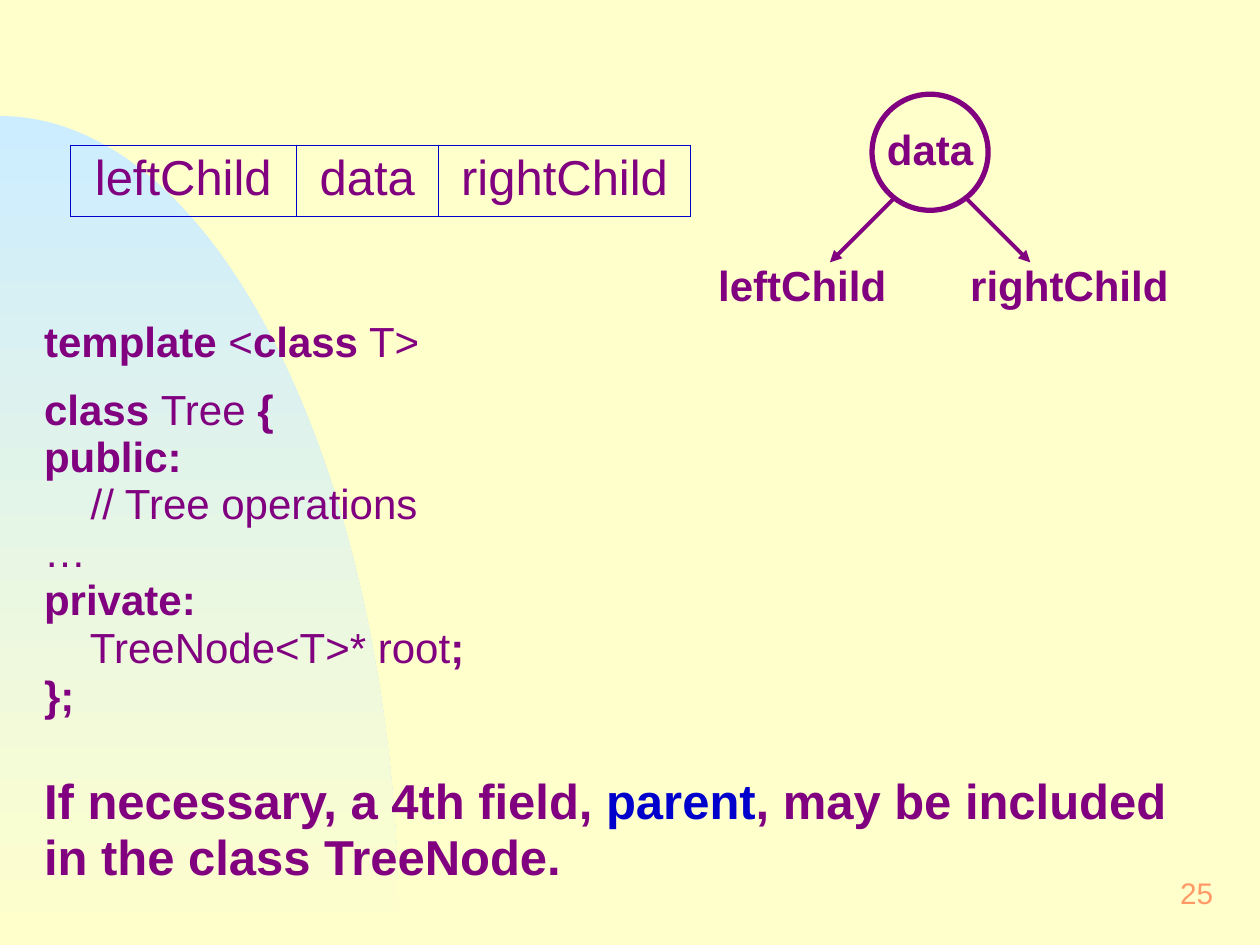
from lxml import etree
from pptx import Presentation
from pptx.dml.color import RGBColor
from pptx.enum.shapes import MSO_CONNECTOR, MSO_SHAPE
from pptx.enum.text import MSO_ANCHOR, PP_ALIGN
from pptx.oxml.ns import qn
from pptx.util import Cm, Pt

ELLIPSE, STRAIGHT = MSO_SHAPE.OVAL, MSO_CONNECTOR.STRAIGHT
LEFT, CENTER, RIGHT = PP_ALIGN.LEFT, PP_ALIGN.CENTER, PP_ALIGN.RIGHT
TOP, MIDDLE = MSO_ANCHOR.TOP, MSO_ANCHOR.MIDDLE

CREAM = RGBColor(0xFF, 0xFF, 0xCC)
SKY = RGBColor(0xCC, 0xEC, 0xFF)
PURPLE = RGBColor(0x80, 0x00, 0x80)
BLUE = RGBColor(0x00, 0x00, 0xCC)
ORANGE = RGBColor(0xFF, 0x99, 0x66)
FONT = "Arial"

# Content; runs are (text, bold)
NODE_FIELDS = [("leftChild", 4.55), ("data", 2.87), ("rightChild", 5.08)]
CODE = [
    [("template", True), (" <", False), ("class", True), (" T>", False)],
    [("class ", True), ("Tree ", False), ("{", True)],
    [("public:", True)],
    [("    // Tree operations", False)],
    [("…", False)],
    [("private:", True)],
    [("    TreeNode<T>* root", False), (";", True)],
    [("};", True)],
]
CLASS_LINE = 1  # this line is set apart from the template line
REMARK = [
    ("If necessary, a 4th field, ", PURPLE),
    ("parent", BLUE),
    (", may be included in the class TreeNode.", PURPLE),
]
NODE_LABELS = [  # text, left, top, width
    ("data", 17.58, 2.34, 2.54),
    ("rightChild", 19.26, 5.08, 5.5),
    ("leftChild", 14.18, 5.08, 4.45),
]
PAGE_NUMBER = "25"


def style(font, size, color=PURPLE, bold=False):
    font.name, font.size, font.bold = FONT, Pt(size), bold
    font.color.rgb = color


def add_text_frame(left, top, width, height, inset, anchor=TOP):
    box = slide.shapes.add_textbox(Cm(left), Cm(top), Cm(width), Cm(height))
    frame = box.text_frame
    frame.word_wrap = True
    frame.vertical_anchor = anchor
    frame.margin_left = frame.margin_right = Cm(inset)
    frame.margin_top = frame.margin_bottom = Cm(inset / 2)
    return frame


def add_label(text, left, top, width, height, size, color=PURPLE,
              bold=False, align=LEFT, anchor=TOP):
    label = add_text_frame(left, top, width, height, 0.3, anchor).paragraphs[0]
    label.text, label.alignment = text, align
    style(label.font, size, color, bold)


def add_border(cell, side):
    line = etree.SubElement(cell._tc.get_or_add_tcPr(), qn("a:" + side), w=str(Pt(0.45)))
    fill = etree.SubElement(line, qn("a:solidFill"))
    etree.SubElement(fill, qn("a:srgbClr"), val=str(BLUE))


def add_arrow(x1, y1, x2, y2):
    arrow = slide.shapes.add_connector(STRAIGHT, Cm(x1), Cm(y1), Cm(x2), Cm(y2))
    arrow.line.color.rgb, arrow.line.width = PURPLE, Pt(2.25)
    etree.SubElement(arrow.line._get_or_add_ln(), qn("a:tailEnd"), type="triangle")
    etree.SubElement(arrow._element.spPr, qn("a:effectLst"))


prs = Presentation()
prs.slide_width, prs.slide_height = Cm(25.4), Cm(19.05)
slide = prs.slides.add_slide(prs.slide_layouts[6])
slide.background.fill.solid()
slide.background.fill.fore_color.rgb = CREAM

# Quarter-ellipse backdrop, sampled along a cubic curve
CURVE = [(0, 2.34), (4.44, 2.34), (8.05, 9.83), (8.05, 19.05)]
STEPS = 60


def curve_point(t):
    weights = ((1 - t) ** 3, 3 * t * (1 - t) ** 2, 3 * t ** 2 * (1 - t), t ** 3)
    return tuple(Cm(sum(w * p[axis] for w, p in zip(weights, CURVE))) for axis in (0, 1))


arc = [curve_point(i / STEPS) for i in range(STEPS + 1)]
builder = slide.shapes.build_freeform(*arc[0])
builder.add_line_segments(arc[1:] + [(0, Cm(19.05))], close=True)
backdrop = builder.convert_to_shape()
backdrop.shadow.inherit = False
backdrop.line.fill.background()
backdrop.fill.gradient()
backdrop.fill.gradient_angle = 270
for stop, color in zip(backdrop.fill.gradient_stops, (SKY, CREAM)):
    stop.color.rgb = color

# Page number
add_label(PAGE_NUMBER, 19.48, 17.35, 5.28, 1.27, 17, ORANGE, align=RIGHT, anchor=MIDDLE)

# Class declaration and the remark below it
body = add_text_frame(0.64, 6.32, 23.93, 11.73, 0.25)
for i, runs in enumerate(CODE):
    line = body.paragraphs[0] if i == 0 else body.add_paragraph()
    if i == CLASS_LINE:
        line.space_before = Pt(9)
    else:
        line.line_spacing = 0.95
    style(line.font, 24)
    for text, bold in runs:
        run = line.add_run()
        run.text = text
        style(run.font, 24, bold=bold)
remark = body.add_paragraph()
remark.line_spacing, remark.space_before = 0.95, Pt(31)
for text, color in REMARK:
    run = remark.add_run()
    run.text = text
    style(run.font, 28, color, bold=True)

# Node layout table
total_width = sum(width for _, width in NODE_FIELDS)
table = slide.shapes.add_table(1, len(NODE_FIELDS), Cm(1.42), Cm(2.92),
                               Cm(total_width), Cm(1.45)).table
table.first_row = table.horz_banding = False
for i, (field, width) in enumerate(NODE_FIELDS):
    table.columns[i].width = Cm(width)
    cell = table.cell(0, i)
    cell.text = field
    cell.text_frame.paragraphs[0].alignment = CENTER
    style(cell.text_frame.paragraphs[0].font, 28)
    for side in ("lnL", "lnR", "lnT", "lnB"):
        add_border(cell, side)
    cell.fill.background()

# Node diagram: circle, labels and arrows mirrored about its centre
NODE_X, NODE_TOP, NODE_SIZE = 18.75, 1.9, 2.34
node = slide.shapes.add_shape(ELLIPSE, Cm(NODE_X - NODE_SIZE / 2), Cm(NODE_TOP),
                              Cm(NODE_SIZE), Cm(NODE_SIZE))
node.shadow.inherit = False
node.fill.background()
node.line.color.rgb, node.line.width = PURPLE, Pt(3)
for text, left, top, width in NODE_LABELS:
    add_label(text, left, top, width, 1.32, 24, bold=True)
for direction in (-1, 1):
    add_arrow(NODE_X + direction * 0.75, 4.02, NODE_X + direction * 2.02, 5.29)

prs.save("out.pptx")
